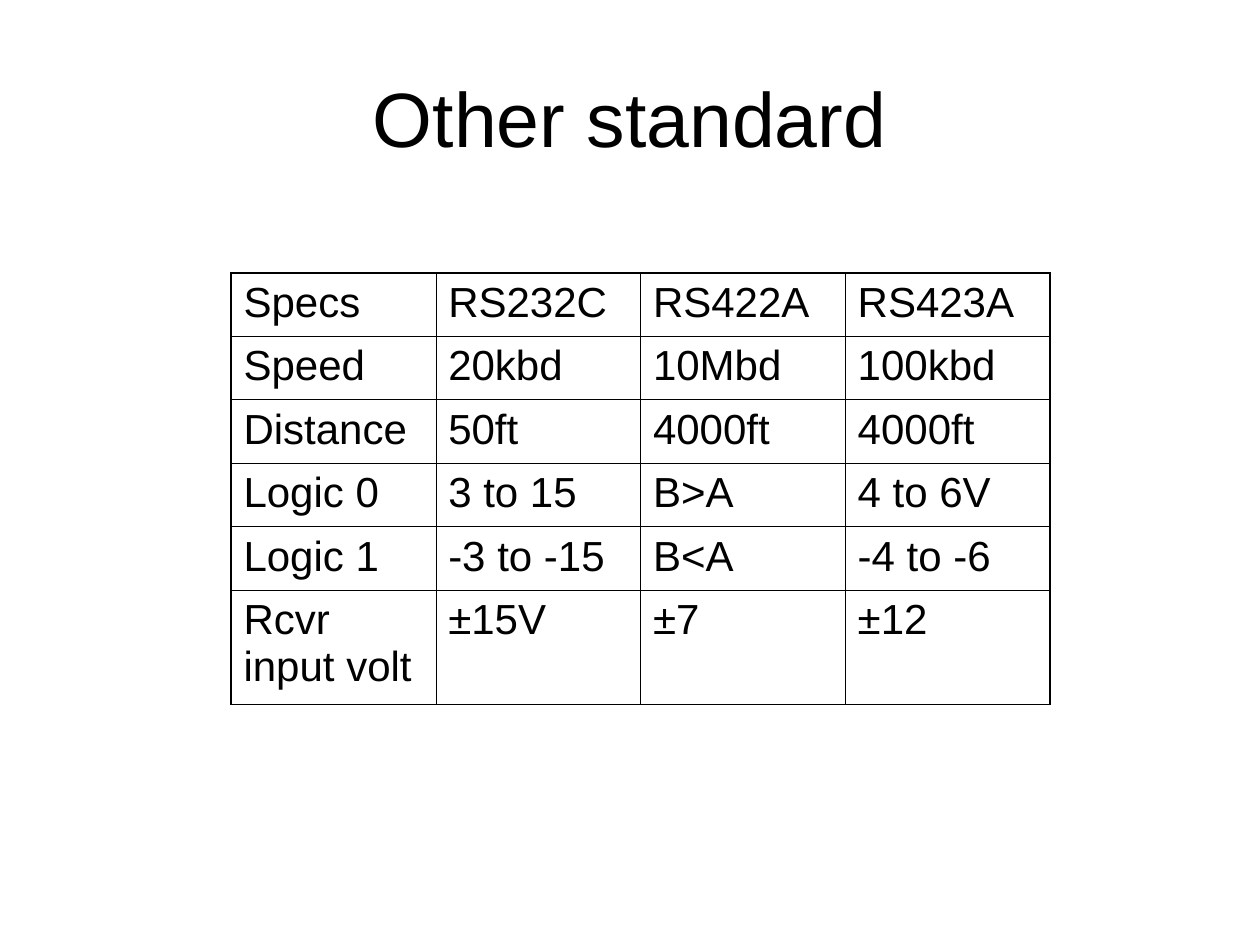
import pptx
import pptx.dml.color
import pptx.enum.text
import pptx.oxml
import pptx.oxml.ns
import pptx.util
from pptx.util import Cm

BLACK = pptx.dml.color.RGBColor(0x00, 0x00, 0x00)
WHITE = pptx.dml.color.RGBColor(0xFF, 0xFF, 0xFF)

SPECS = [
    ["Specs", "RS232C", "RS422A", "RS423A"],
    ["Speed", "20kbd", "10Mbd", "100kbd"],
    ["Distance", "50ft", "4000ft", "4000ft"],
    ["Logic 0", "3 to 15", "B>A", "4 to 6V"],
    ["Logic 1", "-3 to -15", "B<A", "-4 to -6"],
    ["Rcvr input volt", "±15V", "±7", "±12"],
]


class SlideBuilder:
    font_name = "Arial"
    title_size = pptx.util.Pt(44)
    cell_size = pptx.util.Pt(24)
    outer_line = pptx.util.Pt(1.08)
    inner_line = pptx.util.Pt(0.45)
    insets = {
        "margin_left": Cm(0.25), "margin_right": Cm(0.25),
        "margin_top": Cm(0.13), "margin_bottom": Cm(0.13),
    }

    def __init__(self, slide):
        self.slide = slide
        slide.background.fill.solid()
        slide.background.fill.fore_color.rgb = WHITE

    def apply(self, target, values):
        for name, value in values.items():
            setattr(target, name, value)

    def add_text(self, para, text, size):
        span = para.add_run()
        span.text = text
        self.apply(span.font, {"name": self.font_name, "size": size})
        span.font.color.rgb = BLACK

    def title(self, text, left, top, width, height):
        box = self.slide.shapes.add_textbox(left, top, width, height)
        frame = box.text_frame
        self.apply(frame, {
            **self.insets,
            "word_wrap": True,
            "vertical_anchor": pptx.enum.text.MSO_ANCHOR.MIDDLE,
        })
        para = frame.paragraphs[0]
        para.alignment = pptx.enum.text.PP_ALIGN.CENTER
        self.add_text(para, text, self.title_size)

    def borders(self, cell, outer_sides):
        """Draw all four cell borders, heavier on the outer sides."""
        properties = cell._tc.get_or_add_tcPr()
        namespace = pptx.oxml.ns.nsdecls("a")
        for index, side in enumerate("LRTB"):
            width = self.outer_line if side in outer_sides else self.inner_line
            line = pptx.oxml.parse_xml(
                f'<a:ln{side} {namespace} w="{int(width)}"><a:solidFill>'
                f'<a:srgbClr val="{BLACK}"/></a:solidFill></a:ln{side}>'
            )
            properties.insert(index, line)

    def table(self, rows, left, top, width, heights):
        row_count, column_count = len(rows), len(rows[0])
        frame = self.slide.shapes.add_table(
            row_count, column_count, left, top, width, sum(heights))
        table = frame.table
        self.apply(table, {"first_row": False, "horz_banding": False})
        for row, height in zip(table.rows, heights):
            row.height = height
        for row_index, texts in enumerate(rows):
            for column_index, text in enumerate(texts):
                cell = table.cell(row_index, column_index)
                self.apply(cell, self.insets)
                cell.fill.background()
                self.add_text(cell.text_frame.paragraphs[0], text, self.cell_size)
                on_edge = {
                    "L": column_index == 0,
                    "R": column_index == column_count - 1,
                    "T": row_index == 0,
                    "B": row_index == row_count - 1,
                }
                self.borders(cell, [side for side in on_edge if on_edge[side]])


def main():
    deck = pptx.Presentation()
    deck.slide_width, deck.slide_height = Cm(25.4), Cm(19.05)
    page = SlideBuilder(deck.slides.add_slide(deck.slide_layouts[6]))
    page.title("Other standard", Cm(1.27), Cm(0.76), Cm(22.86), Cm(3.18))
    heights = [Cm(1.28)] * (len(SPECS) - 1) + [Cm(2.3)]
    page.table(SPECS, Cm(4.66), Cm(5.5), Cm(16.51), heights)
    deck.save("out.pptx")


if __name__ == "__main__":
    main()
